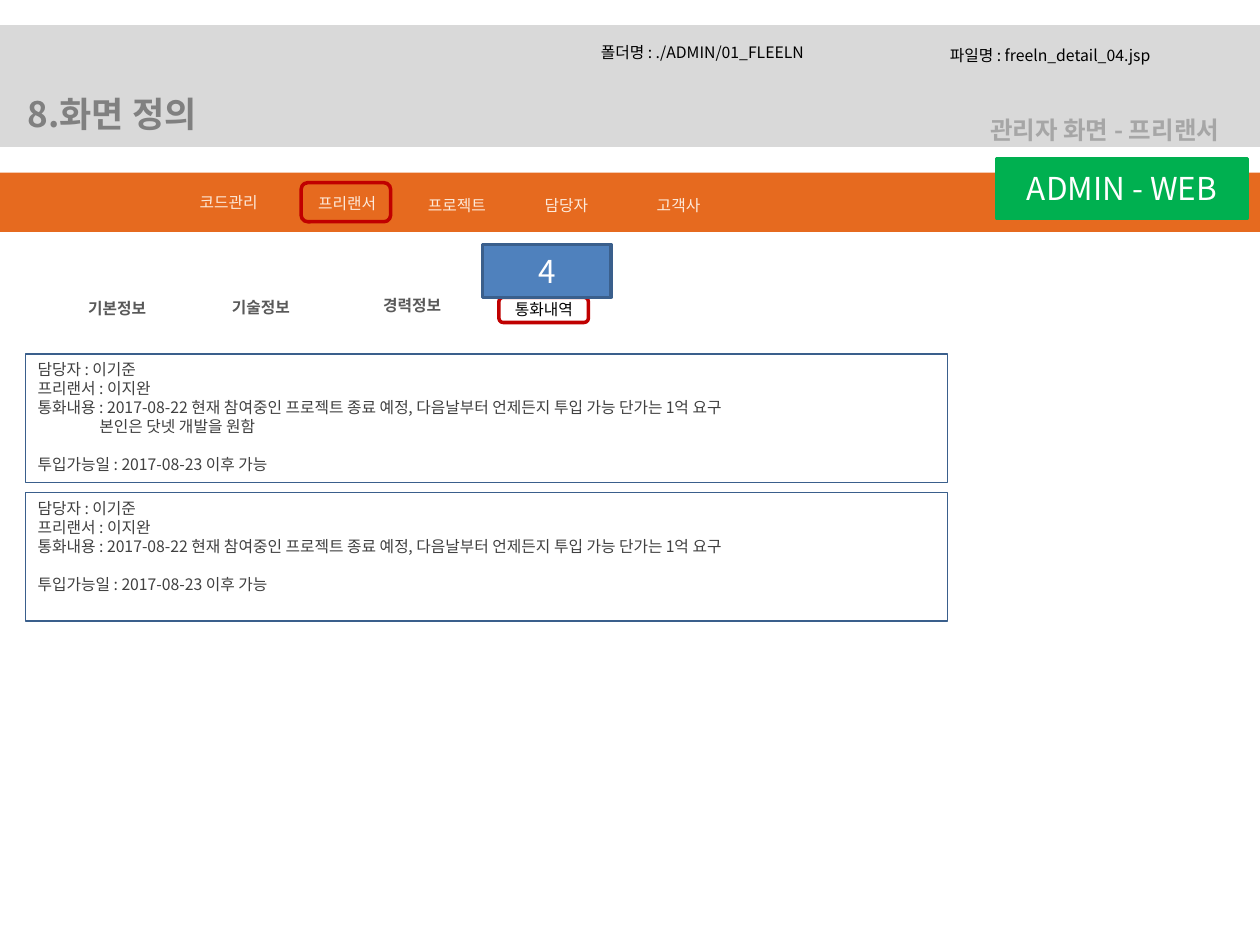
from pptx import Presentation
from pptx.dml.color import RGBColor
from pptx.enum.shapes import MSO_SHAPE as Shape
from pptx.enum.text import MSO_ANCHOR as Anchor, PP_ALIGN as Align
from pptx.util import Inches, Pt

FONT = "Noto Sans CJK KR"
LINE_RATIO = 1.2
color = RGBColor.from_string


def add_box(page, kind, place, fill=None, line=None, weight=2):
    left, top, width, height = [Inches(value) for value in place]
    if kind is None:
        box = page.shapes.add_textbox(left, top, width, height)
    else:
        box = page.shapes.add_shape(kind, left, top, width, height)
        box.shadow.inherit = False
        if fill:
            box.fill.solid()
            box.fill.fore_color.rgb = color(fill)
        else:
            box.fill.background()
        if line:
            box.line.color.rgb = color(line)
            box.line.width = Pt(weight)
        else:
            box.line.fill.background()
    box.text_frame.word_wrap = True
    return box


def write(box, text, size, ink, bold=False, align=Align.CENTER, anchor=Anchor.MIDDLE):
    frame = box.text_frame
    frame.text = text
    frame.vertical_anchor = anchor
    for para in frame.paragraphs:
        para.alignment = align
        para.line_spacing = Pt(size * LINE_RATIO)
        for span in para.runs:
            span.font.name = FONT
            span.font.size = Pt(size)
            span.font.bold = bold
            span.font.color.rgb = color(ink)
            ea = span.font._element.makeelement(
                "{http://schemas.openxmlformats.org/drawingml/2006/main}ea", {"typeface": FONT})
            span.font._element.append(ea)


deck = Presentation()
deck.slide_width = Inches(10)
deck.slide_height = Inches(7.5)
page = deck.slides.add_slide(deck.slide_layouts[6])

for label, left, top in [("기본정보", 0.55, 2.32), ("기술정보", 1.69, 2.31), ("경력정보", 2.89, 2.3)]:
    write(add_box(page, None, (left, top, 0.76, 0.25)), label, 9, "595959", bold=True)

add_box(page, Shape.ROUNDED_RECTANGLE, (3.96, 2.36, 0.71, 0.2), line="C00000")
number = add_box(page, Shape.RECTANGLE, (3.83, 1.94, 1.02, 0.42), "4F81BD", "3A5F8C")
write(number, "4", 18, "FFFFFF")
write(add_box(page, None, (3.82, 2.33, 0.99, 0.25)), "통화내역", 9, "000000")

add_box(page, Shape.RECTANGLE, (0, 0.21, 10, 0.94), "D9D9D9", "D9D9D9")
add_box(page, Shape.RECTANGLE, (0, 1.37, 10, 0.47), "E66A1F")

menu = [("코드관리", 1.38, 1.48), ("프리랜서", 2.32, 1.49), ("프로젝트", 3.19, 1.5),
        ("담당자", 4.06, 1.5), ("고객사", 4.95, 1.5)]
for label, left, top in menu:
    write(add_box(page, None, (left, top, 0.87, 0.25)), label, 9, "FDEADA")
add_box(page, Shape.ROUNDED_RECTANGLE, (2.39, 1.45, 0.71, 0.31), line="C00000")

headings = [
    ("8.화면 정의", (0.12, 0.68, 3.78, 0.44), 20, "808080", True),
    ("관리자 화면 - 프리랜서", (7.76, 0.86, 2.64, 0.34), 14, "A6A6A6", True),
    ("폴더명 : ./ADMIN/01_FLEELN", (4.67, 0.29, 2.65, 0.25), 9, "000000", False),
    ("파일명 : freeln_detail_04.jsp", (7.44, 0.31, 2.38, 0.25), 9, "000000", False),
]
for text, place, size, ink, bold in headings:
    write(add_box(page, None, place), text, size, ink, bold, Align.LEFT)

badge = add_box(page, Shape.RECTANGLE, (7.91, 1.26, 1.99, 0.47), "00B050", "00B050")
write(badge, "ADMIN - WEB", 18, "FFFFFF")

call_lines = [
    "담당자 : 이기준",
    "프리랜서 : 이지완",
    "통화내용 : 2017-08-22 현재 참여중인 프로젝트 종료 예정, 다음날부터 언제든지 투입 가능 단가는 1억 요구",
]
call_note = "본인은 닷넷 개발을 원함"
available = "투입가능일 : 2017-08-23 이후 가능"
for top, notes in [(2.81, [call_note]), (3.91, [])]:
    record = add_box(page, Shape.RECTANGLE, (0.2, top, 7.32, 1.02), line="3A5F8C", weight=0.75)
    write(record, "\n".join(call_lines + notes + [available]), 9, "404040",
          align=Align.LEFT, anchor=Anchor.TOP)
    paras = record.text_frame.paragraphs
    paras[-1].space_before = Pt(9 * LINE_RATIO)
    for para in paras[len(call_lines):-1]:
        para._p.get_or_add_pPr().set("marL", str(Inches(0.49)))

deck.save("out.pptx")
